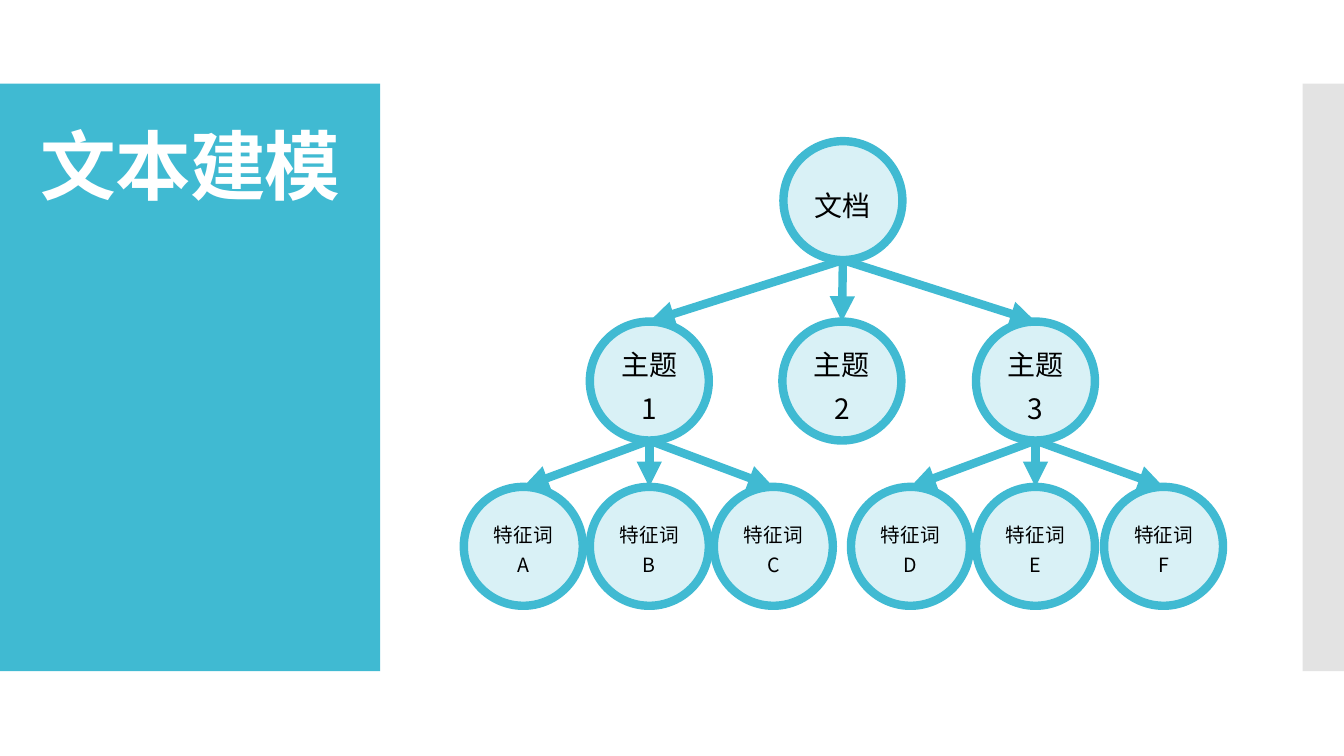
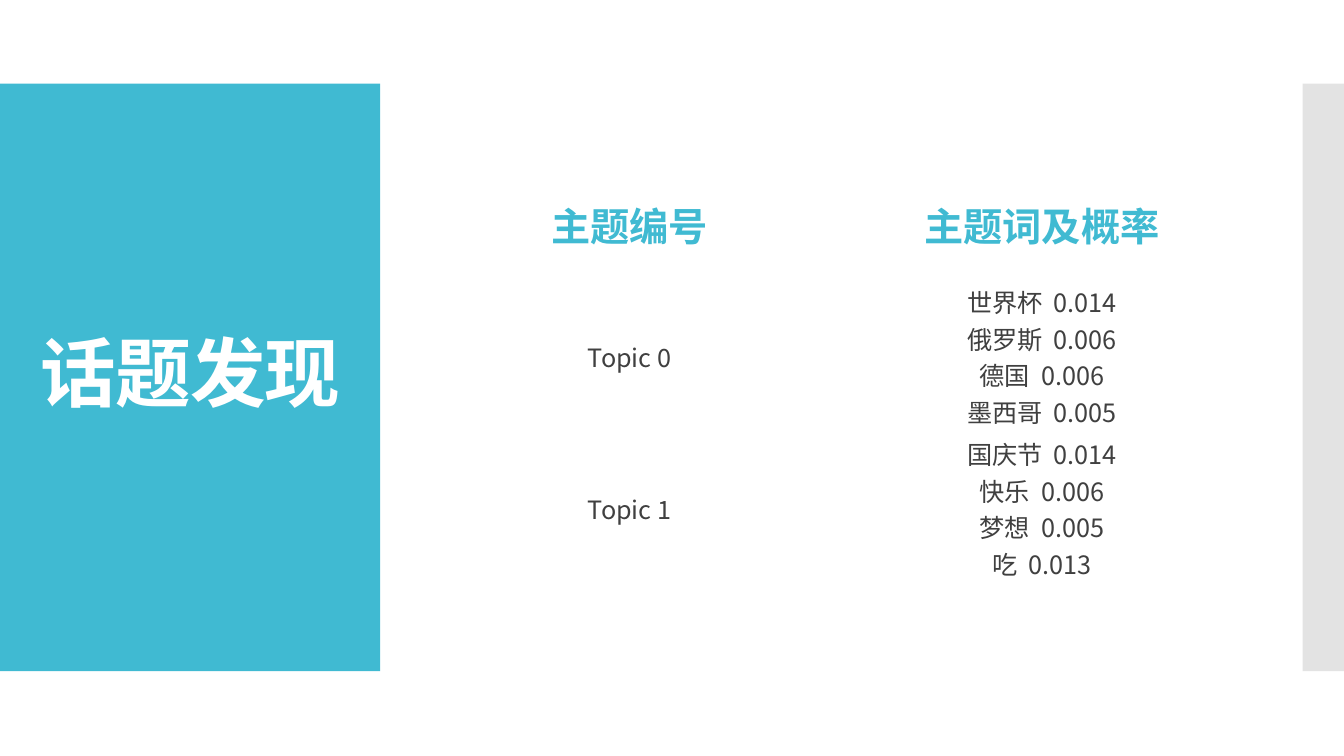
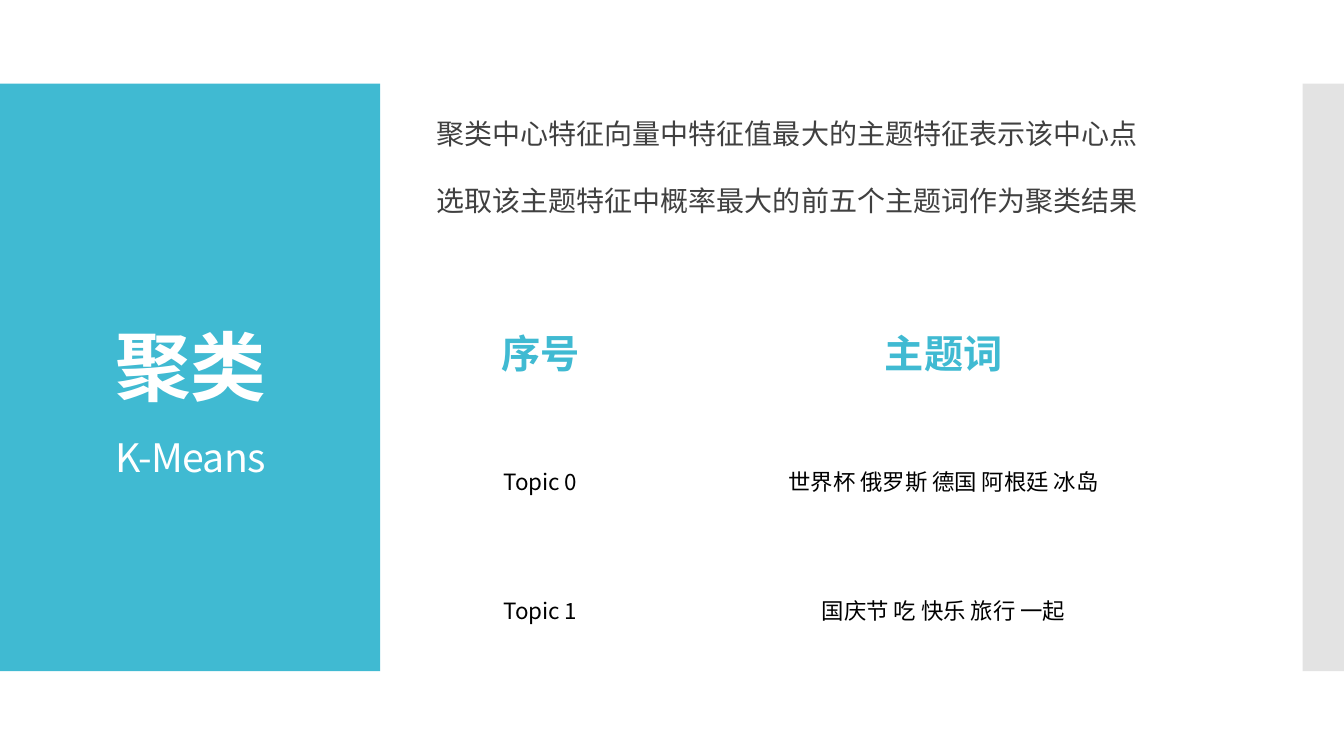
import pptx
import pptx.util
import pptx.dml.color
import pptx.enum.shapes
import pptx.enum.text
import pptx.oxml.ns
from lxml import etree
from dataclasses import dataclass
from pptx.util import Inches

ALIGN = pptx.enum.text.PP_ALIGN
ANCHOR = pptx.enum.text.MSO_ANCHOR
SHAPE = pptx.enum.shapes.MSO_SHAPE


@dataclass(frozen=True)
class Theme:
    font: str = "Noto Sans CJK SC"
    accent: str = "40BAD2"
    pale: str = "D9F1F6"
    grey: str = "C8C8C8"
    ink: str = "404040"
    black: str = "000000"
    white: str = "FFFFFF"
    title: int = 54
    heading: int = 28
    body: int = 20
    cell: int = 18
    small_cell: int = 16
    leaf: int = 14
    stroke: int = 6


THEME = Theme()
TITLE_BOX = (0.28, 1.23, 3.22, 5.03)
NODE = 1.18


def rgb(value):
    return pptx.dml.color.RGBColor.from_string(value)


def child(parent, tag, **attrs):
    return etree.SubElement(parent, pptx.oxml.ns.qn(tag), attrs)


def style(p, size, color, bold=False, align=ALIGN.CENTER, spacing=None):
    p.alignment = align
    if spacing:
        p.line_spacing = spacing
    font = p.font
    font.size = pptx.util.Pt(size)
    font.bold = bold
    font.color.rgb = rgb(color)
    font.name = THEME.font
    child(p._p.pPr.find(pptx.oxml.ns.qn("a:defRPr")), "a:ea", typeface=THEME.font)


def add_shape(slide, kind, box, fill):
    sp = slide.shapes.add_shape(kind, *map(Inches, box))
    sp.shadow.inherit = False
    sp.fill.solid()
    sp.fill.fore_color.rgb = rgb(fill)
    sp.line.fill.background()
    return sp


def add_text(slide, box, anchor):
    tf = slide.shapes.add_textbox(*map(Inches, box)).text_frame
    tf.word_wrap = True
    tf.vertical_anchor = anchor
    return tf


def add_frame(prs, title, subtitle=None, anchor=ANCHOR.MIDDLE):
    slide = prs.slides.add_slide(prs.slide_layouts[6])
    add_shape(slide, SHAPE.RECTANGLE, (0, 0.83, 3.77, 5.83), THEME.accent)
    edge = add_shape(slide, SHAPE.RECTANGLE, (12.92, 0.83, 0.42, 5.83), THEME.grey)
    color = edge._element.spPr.find(".//" + pptx.oxml.ns.qn("a:srgbClr"))
    child(color, "a:alpha", val="50000")

    p = add_text(slide, TITLE_BOX, anchor).paragraphs[0]
    style(p, THEME.title, THEME.white, bold=True, spacing=1.5 if subtitle else 0.9)
    p.add_run().text = title
    if subtitle:
        p.add_line_break()
        r = p.add_run()
        r.text = subtitle
        r.font.size = pptx.util.Pt(THEME.heading)
        r.font.bold = False
    for r in p.runs:
        r.font._element.set("spc", "-60")
    return slide


def add_node(slide, x, y, label, size):
    sp = add_shape(slide, SHAPE.OVAL, (x, y, NODE, NODE), THEME.pale)
    sp.line.color.rgb = rgb(THEME.accent)
    sp.line.width = pptx.util.Pt(THEME.stroke)
    tf = sp.text_frame
    tf.word_wrap = True
    tf.vertical_anchor = ANCHOR.MIDDLE
    p = tf.paragraphs[0]
    p.text = label
    style(p, size, THEME.black, spacing=1.3)
    return sp


def add_arrow(slide, parent, target):
    line = slide.shapes.add_connector(
        pptx.enum.shapes.MSO_CONNECTOR.STRAIGHT,
        parent.left + parent.width // 2, parent.top + parent.height,
        target.left + target.width // 2, target.top)
    line.line.color.rgb = rgb(THEME.accent)
    line.line.width = pptx.util.Pt(THEME.stroke)
    child(line.line._get_or_add_ln(), "a:tailEnd", type="triangle")
    child(line._element.spPr, "a:effectLst")


def add_tree(slide, left, top, root, topics):
    topic_y, word_y = top + 1.79, top + 3.43
    root_x, root_label = root
    root_node = add_node(slide, left + root_x, top, root_label, THEME.body)
    links = []
    for x, label, words in topics:
        topic = add_node(slide, left + x, topic_y, label, THEME.body)
        links.append((root_node, topic))
        for word_x, word in words:
            leaf = add_node(slide, left + word_x, word_y, word, THEME.leaf)
            links.append((topic, leaf))
    for parent, target in links:
        add_arrow(slide, parent, target)


def add_pair(p, word, value):
    p.add_run().text = word
    gap = p.add_run()
    gap.text = " "
    gap.font._element.set("spc", "400")
    p.add_run().text = value


def add_topic_table(slide, left, top, widths, heights, rows, size, color):
    table = slide.shapes.add_table(
        len(rows), len(widths), Inches(left), Inches(top),
        Inches(sum(widths)), Inches(sum(heights))).table
    table.first_row = False
    table.horz_banding = False
    for column, width in zip(table.columns, widths):
        column.width = Inches(width)
    for i, (row, height) in enumerate(zip(rows, heights)):
        table.rows[i].height = Inches(height)
        for j, lines in enumerate(row):
            cell = table.cell(i, j)
            cell.fill.background()
            cell.vertical_anchor = ANCHOR.MIDDLE
            cell.margin_left = cell.margin_right = Inches(0.07)
            cell.margin_top = cell.margin_bottom = 0
            tf = cell.text_frame
            for n, content in enumerate([lines] if isinstance(lines, str) else lines):
                p = tf.add_paragraph() if n else tf.paragraphs[0]
                if isinstance(content, str):
                    p.text = content
                else:
                    add_pair(p, *content)
                if i == 0:
                    style(p, THEME.heading, THEME.accent, bold=True)
                else:
                    style(p, size, color)


def add_body(slide, box, lines):
    tf = add_text(slide, box, ANCHOR.TOP)
    for n, text in enumerate(lines):
        p = tf.add_paragraph() if n else tf.paragraphs[0]
        p.text = text
        if n:
            p.space_before = pptx.util.Pt(12)
        style(p, THEME.body, THEME.ink, align=ALIGN.LEFT, spacing=1.5)


def build_model(prs):
    slide = add_frame(prs, "文本建模", anchor=ANCHOR.TOP)
    add_tree(slide, 4.6, 1.4, (3.17, "文档"), [
        (1.25, "主题1", [(0, "特征词A"), (1.25, "特征词B"), (2.48, "特征词C")]),
        (3.16, "主题2", []),
        (5.08, "主题3", [(3.84, "特征词D"), (5.08, "特征词E"), (6.35, "特征词F")]),
    ])


def build_discovery(prs):
    slide = add_frame(prs, "话题发现")
    rows = [
        ("主题编号", "主题词及概率"),
        ("Topic 0", [("世界杯", "0.014"), ("俄罗斯", "0.006"),
                     ("德国", "0.006"), ("墨西哥", "0.005")]),
        ("Topic 1", [("国庆节", "0.014"), ("快乐", "0.006"),
                     ("梦想", "0.005"), ("吃", "0.013")]),
    ]
    add_topic_table(slide, 4.2, 1.68, [4.09] * 2, [1.1, 1.51, 1.51], rows,
                    THEME.cell, THEME.ink)


def build_clusters(prs):
    slide = add_frame(prs, "聚类", "K-Means")
    add_body(slide, (4.23, 0.94, 8, 5.6), [
        "聚类中心特征向量中特征值最大的主题特征表示该中心点",
        "选取该主题特征中概率最大的前五个主题词作为聚类结果",
    ])
    rows = [
        ("序号", "主题词"),
        ("Topic 0", "世界杯 俄罗斯 德国 阿根廷 冰岛"),
        ("Topic 1", "国庆节 吃 快乐 旅行 一起"),
    ]
    add_topic_table(slide, 4.23, 2.85, [2.26, 5.74], [1.28] * 3, rows,
                    THEME.small_cell, THEME.black)


def main():
    prs = pptx.Presentation()
    prs.slide_width = Inches(13.33)
    prs.slide_height = Inches(7.5)
    for build in (build_model, build_discovery, build_clusters):
        build(prs)
    prs.save("out.pptx")


if __name__ == "__main__":
    main()
